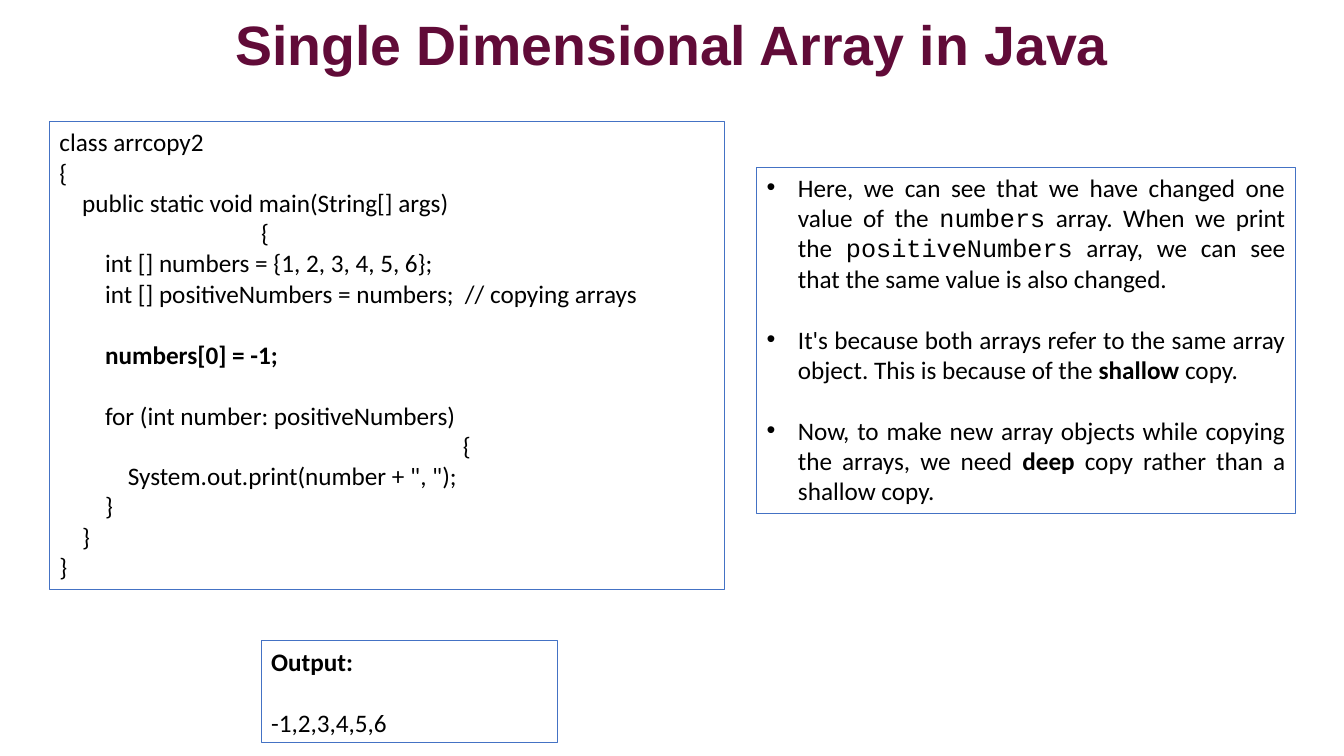
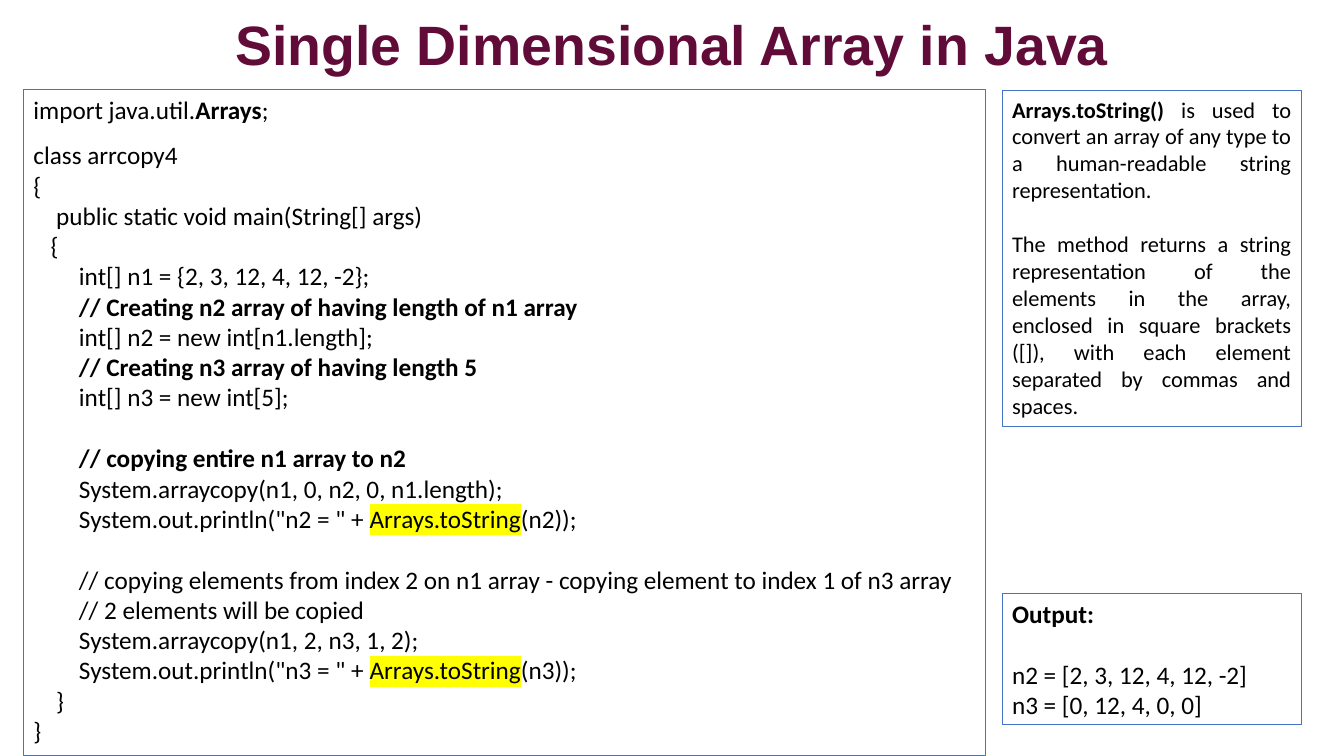
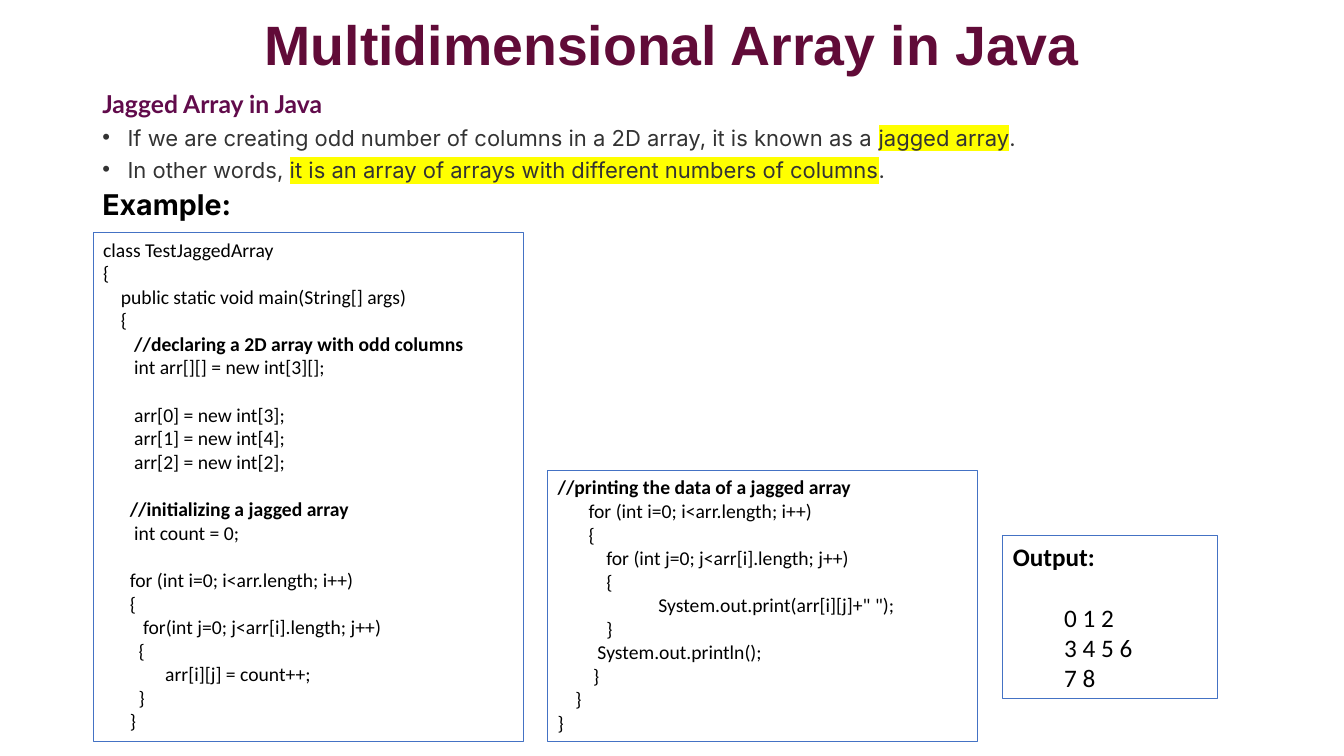
from lxml import etree
from pptx import Presentation, util as u
from pptx.dml.color import RGBColor
from pptx.enum import shapes, text
from pptx.oxml.ns import qn

# Shared look
MAROON = RGBColor(0x61, 0x0B, 0x38)
PLUM = RGBColor(0x61, 0x0B, 0x4B)
BLUE = RGBColor(0x44, 0x72, 0xC4)
GREY = RGBColor(0x33, 0x33, 0x33)
BLACK = RGBColor(0, 0, 0)
YELLOW = RGBColor(0xFF, 0xFF, 0x00)
LEFT, JUSTIFY = text.PP_ALIGN.LEFT, text.PP_ALIGN.JUSTIFY
SPACE_WIDTH = 0.226  # width of a space, as a share of the font size
LINE_HEIGHT = 1.22   # height of a line, as a share of the font size

presentation = Presentation()
presentation.slide_width = u.Inches(13.33)
presentation.slide_height = u.Inches(7.5)

# Grid of 160 columns and 90 rows
COLUMN = presentation.slide_width / 160
ROW = presentation.slide_height / 90


def write_text(shape, content, size, align=LEFT, hang=0.31):
    """Leading spaces and tabs become indents, empty lines become spacing.

    Pieces are split by |; a leading * is bold, ~ highlighted, ` monospaced.
    """
    frame = shape.text_frame
    frame.word_wrap = True
    frame.vertical_anchor = text.MSO_ANCHOR.TOP
    paragraph, gap = None, 0
    for line in content.splitlines():
        if not line:
            gap += size * LINE_HEIGHT
            continue
        paragraph = frame.add_paragraph() if paragraph else frame.paragraphs[0]
        paragraph.alignment = align
        paragraph.space_before = u.Pt(gap)
        gap = 0
        properties = paragraph._p.get_or_add_pPr()
        words = line.lstrip()
        lead = line[:len(line) - len(words)]
        margin = u.Inches(lead.count("\t")) or u.Pt(len(lead) * SPACE_WIDTH * size)
        if words.startswith("• "):
            words = words[2:]
            margin = u.Inches(hang)
            properties.set("indent", str(-margin))
            etree.SubElement(properties, qn("a:buFont"), typeface="Arial")
            etree.SubElement(properties, qn("a:buChar"), char="•")
        properties.set("marL", str(margin))
        paragraph.font.size = u.Pt(size)
        paragraph.font.name = "Calibri"
        paragraph.font.color.rgb = BLACK
        for piece in filter(None, words.split("|")):
            mark = piece[0] if piece[0] in "*~`" else ""
            run = paragraph.add_run()
            run.text = piece[len(mark):]
            if mark == "*":
                run.font.bold = True
            elif mark == "`":
                run.font.name = "Courier New"
            elif mark == "~":
                highlight = etree.SubElement(run._r.get_or_add_rPr(), qn("a:highlight"))
                etree.SubElement(highlight, qn("a:srgbClr"), val=str(YELLOW))
    return frame.paragraphs


def add_box(slide, left, top, width, height, content, size=18, align=LEFT):
    """Outlined rectangle, placed in columns and rows."""
    box = slide.shapes.add_shape(
        shapes.MSO_SHAPE.RECTANGLE,
        int(left * COLUMN), int(top * ROW), int(width * COLUMN), int(height * ROW))
    box.shadow.inherit = False
    box.fill.background()
    box.line.color.rgb = BLUE
    box.line.width = u.Pt(0.75)
    return write_text(box, content, size, align)


# Slides with their titles
slides = []
for heading in ("Single Dimensional Array in Java",
                "Single Dimensional Array in Java",
                "Multidimensional Array in Java"):
    slide = presentation.slides.add_slide(presentation.slide_layouts[6])
    title = slide.shapes.add_textbox(
        int(11 * COLUMN), int(3.1 * ROW), int(138 * COLUMN), int(5.2 * ROW))
    title.text_frame.word_wrap = True
    title.text_frame.vertical_anchor = text.MSO_ANCHOR.MIDDLE
    paragraph = title.text_frame.paragraphs[0]
    paragraph.text = heading
    paragraph.alignment = text.PP_ALIGN.CENTER
    paragraph.line_spacing = 0.9
    paragraph.font.size = u.Pt(39.6)
    paragraph.font.name = "Arial"
    paragraph.font.bold = True
    paragraph.font.color.rgb = MAROON
    slides.append(slide)
shallow_slide, arraycopy_slide, jagged_slide = slides

# Slide 1: shallow copy
add_box(shallow_slide, 5.9, 14.5, 80.4, 55.7, """class arrcopy2
{
    public static void main(String[] args)
\t\t{
        int [] numbers = {1, 2, 3, 4, 5, 6};
        int [] positiveNumbers = numbers;  // copying arrays

        |*numbers[0] = -1;

        for (int number: positiveNumbers)
\t\t\t\t{
            System.out.print(number + ", ");
        }
    }
}""")
add_box(shallow_slide, 31.1, 76.3, 35.3, 12.1, """|*Output:

-1,2,3,4,5,6""")
add_box(shallow_slide, 90.1, 19.9, 64.1, 41.2, """\
• Here, we can see that we have changed one value of the |`numbers| array. When we print the |`positiveNumbers| array, we can see that the same value is also changed.

• It's because both arrays refer to the same array object. This is because of the |*shallow| copy.

• Now, to make new array objects while copying the arrays, we need |*deep |copy rather than a shallow copy.""",
        align=JUSTIFY)

# Slide 2: arraycopy
code_lines = add_box(arraycopy_slide, 2.8, 10.6, 114.5, 79.3, """import java.util.|*Arrays|;
class arrcopy4
{
    public static void main(String[] args)
   {
        int[] n1 = {2, 3, 12, 4, 12, -2};
        |*// Creating n2 array of having length of n1 array
        int[] n2 = new int[n1.length];
        |*// Creating n3 array of having length 5
        int[] n3 = new int[5];

        |*// copying entire n1 array to n2
        System.arraycopy(n1, 0, n2, 0, n1.length);
        System.out.println("n2 = " + |~Arrays.toString|(n2));

        // copying elements from index 2 on n1 array - copying element to index 1 of n3 array
        // 2 elements will be copied
        System.arraycopy(n1, 2, n3, 1, 2);
        System.out.println("n3 = " + |~Arrays.toString|(n3));
    }
}""")
code_lines[1].space_before = u.Pt(11)
add_box(arraycopy_slide, 119.3, 70.6, 35.6, 15.7, """|*Output:

n2 = [2, 3, 12, 4, 12, -2]
n3 = [0, 12, 4, 0, 0]""")
add_box(arraycopy_slide, 119.3, 10.8, 35.6, 40, """\
|*Arrays.toString() |is used to convert an array of any type to a human-readable string representation.

The method returns a string representation of the elements in the array, enclosed in square brackets ([]), with each element separated by commas and spaces.""",
        size=16, align=JUSTIFY)

# Slide 3: introduction to jagged arrays
introduction = jagged_slide.shapes.add_textbox(
    int(11 * COLUMN), int(10.9 * ROW), int(144.2 * COLUMN), int(16.9 * ROW))
introduction_lines = write_text(introduction, """Jagged Array in Java
• If we are creating odd number of columns in a 2D array, it is known as a |~jagged array|.
• In other words, |~it is an array of arrays with different numbers of columns|.
Example:""", 15.7, JUSTIFY, hang=0.25)
introduction_styles = [("Lato", 17.6, PLUM, True), ("Inter", 15.7, GREY, False),
                       ("Inter", 15.7, GREY, False), ("Inter", 20.4, BLACK, True)]
for paragraph, (name, size, color, bold) in zip(introduction_lines, introduction_styles):
    paragraph.line_spacing = 0.7
    paragraph.space_before = u.Pt(10)
    paragraph.font.name = name
    paragraph.font.size = u.Pt(size)
    paragraph.font.color.rgb = color
    paragraph.font.bold = bold

# Slide 3: code and output
add_box(jagged_slide, 11.1, 27.7, 51.2, 60.6, """class TestJaggedArray
{
    public static void main(String[] args)
    {
       |*//declaring a 2D array with odd columns
       int arr[][] = new int[3][];

       arr[0] = new int[3];
       arr[1] = new int[4];
       arr[2] = new int[2];

      |*//initializing a jagged array
       int count = 0;

      for (int i=0; i<arr.length; i++)
      {
         for(int j=0; j<arr[i].length; j++)
        {
              arr[i][j] = count++;
        }
      }""", size=14)
add_box(jagged_slide, 119.4, 63.8, 25.6, 19.4, """|*Output:

         0 1 2
         3 4 5 6
         7 8""")
add_box(jagged_slide, 65.2, 56, 51.2, 32.3, """|*//printing the data of a jagged array
       for (int i=0; i<arr.length; i++)
       {
           for (int j=0; j<arr[i].length; j++)
           {
\tSystem.out.print(arr[i][j]+" ");
           }
         System.out.println();
        }
    }
}""", size=14)

presentation.save("out.pptx")
